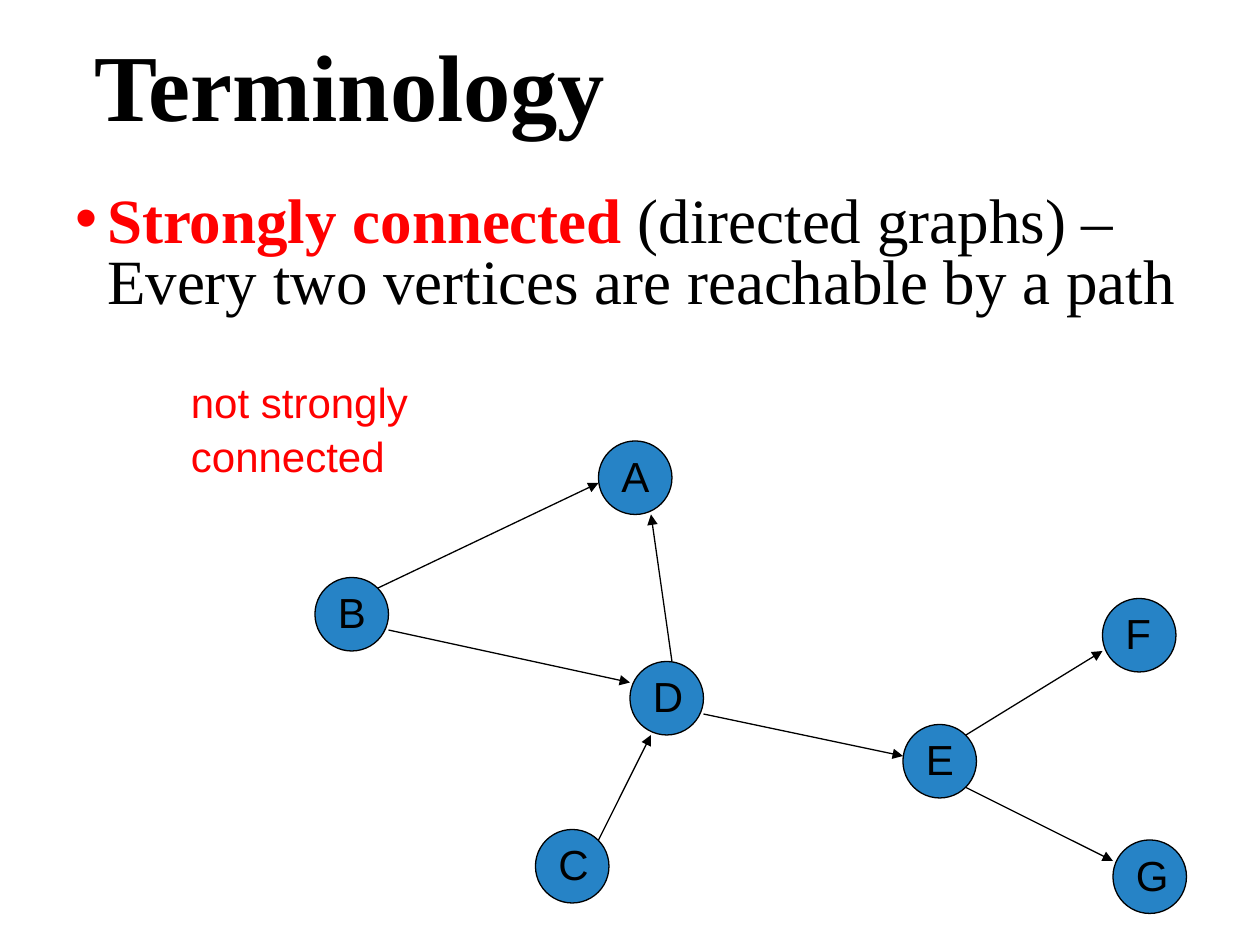
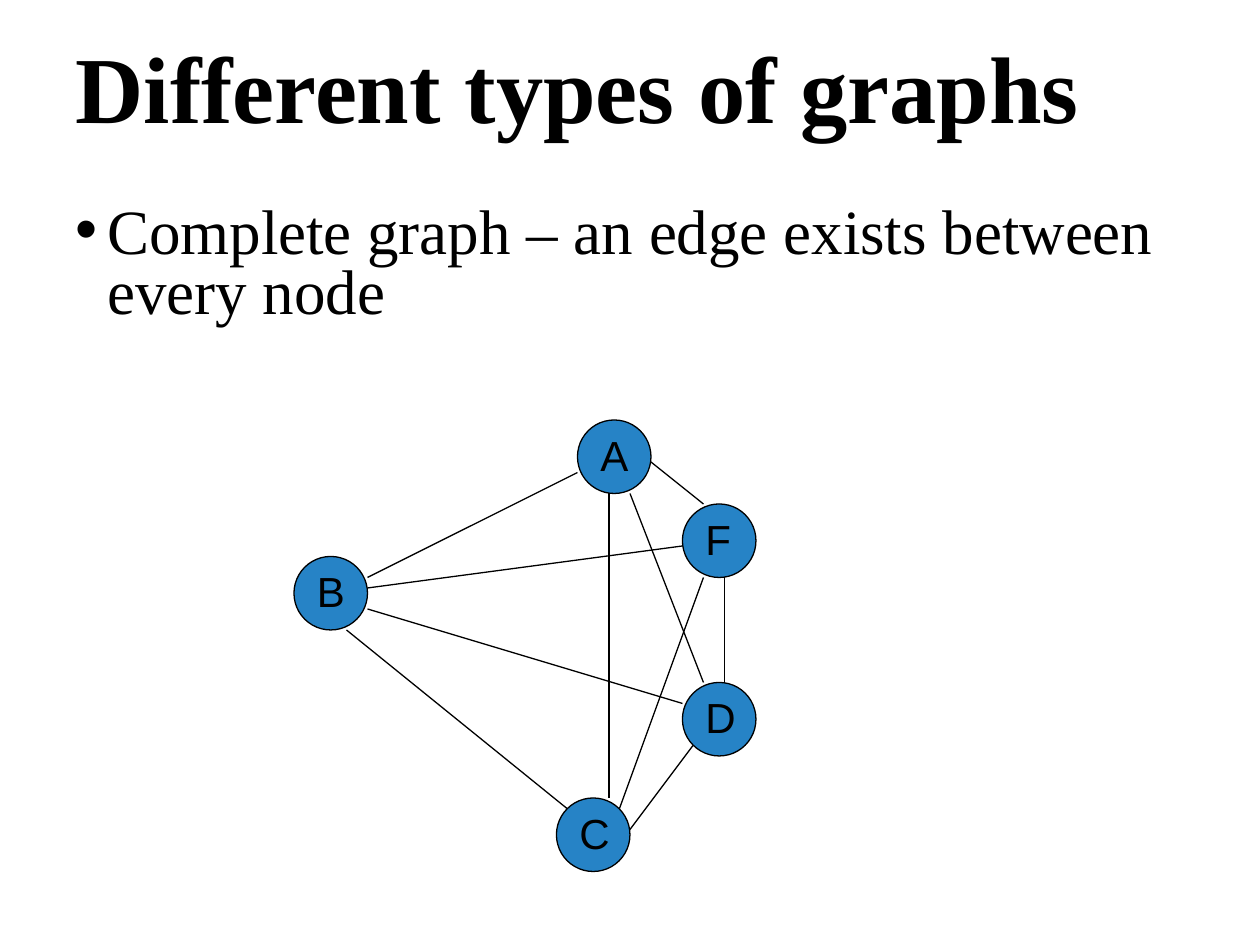
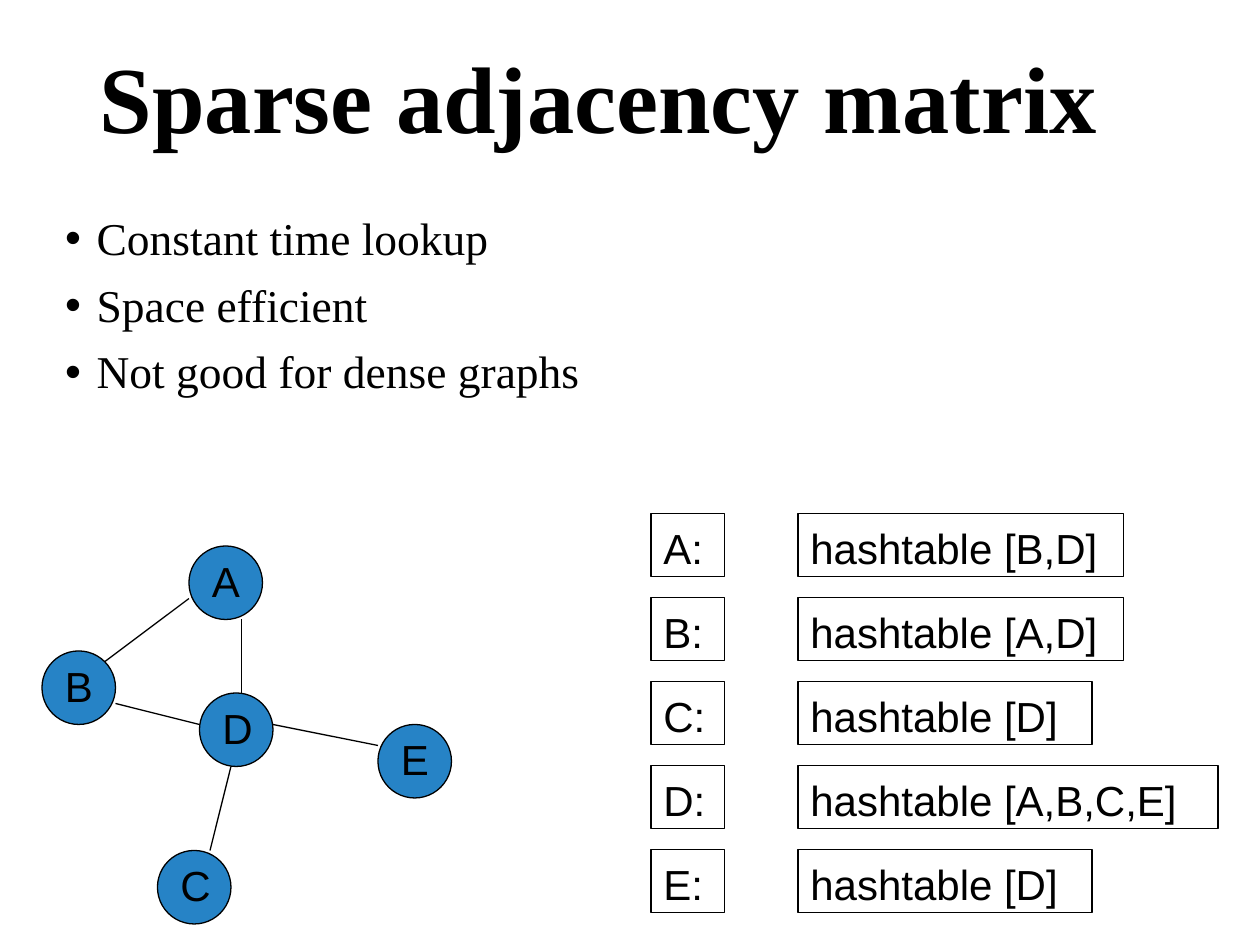
import dataclasses

import lxml.etree
import pptx
import pptx.dml.color
import pptx.enum.shapes
import pptx.enum.text
import pptx.oxml.ns
import pptx.util

PX = 914400 // 120
NODE_SIZE = 70
MSO_SHAPE = pptx.enum.shapes.MSO_SHAPE


@dataclasses.dataclass(frozen=True)
class Theme:
    ink: str = "000000"
    accent: str = "FF0000"
    node: str = "2683C6"
    serif: str = "Times New Roman"
    sans: str = "Arial"
    title_size: int = 54
    statement_size: int = 36
    list_size: int = 26
    label_size: int = 24
    line_width: float = 0.75
    label_spacing: float = 1.06


def emu(*lengths):
    return [pptx.util.Emu(length * PX) for length in lengths]


def rgb(color):
    return pptx.dml.color.RGBColor.from_string(color)


def write(paragraph, text, *, font, size, color, bold=False, spacing=1.0):
    """Append text to a left-aligned paragraph; newlines become line breaks."""
    paragraph.alignment = pptx.enum.text.PP_ALIGN.LEFT
    paragraph.line_spacing = spacing
    for index, line in enumerate(text.split("\n")):
        if index:
            paragraph.add_line_break()
        run = paragraph.add_run()
        run.text = line
        run.font.name = font
        run.font.size = pptx.util.Pt(size)
        run.font.bold = bold
        run.font.color.rgb = rgb(color)


class Deck:
    def __init__(self, theme):
        self.theme = theme
        self.presentation = pptx.Presentation()
        self.presentation.slide_width, self.presentation.slide_height = emu(1200, 900)
        self.slide = None

    def add_slide(self, title, box):
        layout = self.presentation.slide_layouts[1]
        self.slide = self.presentation.slides.add_slide(layout)
        frame = self.place(self.slide.shapes.title, box)
        frame.vertical_anchor = pptx.enum.text.MSO_ANCHOR.MIDDLE
        write(frame.paragraphs[0], title, font=self.theme.serif,
              size=self.theme.title_size, color=self.theme.ink, bold=True, spacing=0.9)

    def place(self, placeholder, box):
        """Move a placeholder and return its text frame, with shrinking off."""
        (placeholder.left, placeholder.top,
         placeholder.width, placeholder.height) = emu(*box)
        placeholder.text_frame.auto_size = pptx.enum.text.MSO_AUTO_SIZE.NONE
        return placeholder.text_frame

    def bullets(self, items, box, size, spacing):
        """Fill the body; each item is a list of (text, format overrides) runs."""
        frame = self.place(self.slide.placeholders[1], box)
        for index, runs in enumerate(items):
            paragraph = frame.add_paragraph() if index else frame.paragraphs[0]
            paragraph.space_before = pptx.util.Pt(10)
            indent = 30 * PX
            properties = paragraph._p.get_or_add_pPr()
            properties.set("marL", str(indent))
            properties.set("indent", str(-indent))
            for text, overrides in runs:
                style = {"font": self.theme.serif, "size": size,
                         "color": self.theme.ink, "spacing": spacing}
                write(paragraph, text, **(style | overrides))

    def label(self, text, box, color=None, shapes=None):
        shapes = self.slide.shapes if shapes is None else shapes
        self.write_label(shapes.add_textbox(*emu(*box)), text, color)

    def write_label(self, shape, text, color=None):
        frame = shape.text_frame
        frame.word_wrap = True
        frame.vertical_anchor = pptx.enum.text.MSO_ANCHOR.TOP
        write(frame.paragraphs[0], text, font=self.theme.sans,
              size=self.theme.label_size, color=color or self.theme.ink,
              spacing=self.theme.label_spacing)

    def outline(self, line):
        line.color.rgb = rgb(self.theme.ink)
        line.width = pptx.util.Pt(self.theme.line_width)

    def cell(self, text, box):
        frame_box = self.slide.shapes.add_shape(MSO_SHAPE.RECTANGLE, *emu(*box))
        frame_box.shadow.inherit = False
        frame_box.fill.background()
        self.outline(frame_box.line)
        self.write_label(frame_box, text)

    def node(self, name, left, top):
        group = self.slide.shapes.add_group_shape()
        circle = group.shapes.add_shape(
            MSO_SHAPE.OVAL, *emu(left, top, NODE_SIZE, NODE_SIZE))
        circle.shadow.inherit = False
        circle.fill.solid()
        circle.fill.fore_color.rgb = rgb(self.theme.node)
        self.outline(circle.line)
        self.label(name, (left + 10, top, 60, 61), shapes=group.shapes)

    def edge(self, ends, directed):
        edge = self.slide.shapes.add_connector(
            pptx.enum.shapes.MSO_CONNECTOR.STRAIGHT, *emu(*ends))
        self.outline(edge.line)
        qn = pptx.oxml.ns.qn
        if directed:
            lxml.etree.SubElement(edge.line._get_or_add_ln(), qn("a:tailEnd"),
                                  type="triangle")
        lxml.etree.SubElement(edge._element.spPr, qn("a:effectLst"))

    def graph(self, nodes, edges, directed=False):
        """Draw nodes {name: (left, top)} and edges (x1, y1, x2, y2)."""
        for name, corner in nodes.items():
            self.node(name, *corner)
        for ends in edges:
            self.edge(ends, directed)


def add_strongly_connected(deck):
    theme = deck.theme
    deck.add_slide("Terminology", (78, 0, 1034, 174))
    deck.bullets(
        [[("Strongly connected ", {"color": theme.accent, "bold": True}),
          ("(directed graphs) – \nEvery two vertices are reachable by a path", {})]],
        (60, 180, 1080, 140), theme.statement_size, 0.8)
    deck.graph(
        {"A": (570, 420), "B": (300, 550), "C": (510, 790), "E": (860, 690),
         "D": (600, 630), "F": (1050, 570), "G": (1060, 800)},
        [(360, 560, 570, 460), (370, 600, 600, 650), (640, 630, 620, 490),
         (570, 800, 620, 700), (670, 680, 860, 720), (920, 700, 1050, 620),
         (920, 750, 1060, 820)],
        directed=True)
    deck.label("not strongly connected", (170, 350, 280, 109), theme.accent)


def add_complete_graph(deck):
    deck.add_slide("Different types of graphs", (60, 16, 990, 144))
    deck.bullets([[("Complete graph – an edge exists between every node", {})]],
                 (60, 190, 1080, 130), deck.theme.statement_size, 0.8)
    deck.graph(
        {"A": (550, 400), "B": (280, 530), "C": (530, 760), "D": (650, 650),
         "F": (650, 480)},
        [(350, 550, 550, 450), (350, 580, 650, 670), (330, 600, 540, 770),
         (350, 560, 650, 520), (580, 470, 580, 760), (600, 470, 670, 650),
         (620, 440, 670, 480), (600, 790, 660, 710), (670, 550, 590, 770),
         (690, 550, 690, 650)])


def add_sparse_matrix(deck):
    deck.add_slide("Sparse adjacency matrix", (83, 11, 1034, 174))
    benefits = ["Constant time lookup", "Space efficient", "Not good for dense graphs"]
    deck.bullets([[(benefit, {})] for benefit in benefits],
                 (50, 200, 1090, 210), deck.theme.list_size, 0.9)
    deck.graph(
        {"A": (180, 520), "B": (40, 620), "C": (150, 810), "E": (360, 690),
         "D": (190, 660)},
        [(100, 630, 180, 570), (110, 670, 190, 690), (230, 660, 230, 590),
         (220, 730, 200, 810), (260, 690, 360, 710)])
    neighbours = [("A", "B,D", 310), ("B", "A,D", 310), ("C", "D", 280),
                  ("D", "A,B,C,E", 400), ("E", "D", 280)]
    for row, (vertex, adjacent, width) in enumerate(neighbours):
        top = 489 + 80 * row
        deck.cell(f"{vertex}:", (620, top, 70, 60))
        deck.cell(f"hashtable [{adjacent}]", (760, top, width, 60))


def main():
    deck = Deck(Theme())
    add_strongly_connected(deck)
    add_complete_graph(deck)
    add_sparse_matrix(deck)
    deck.presentation.save("out.pptx")


if __name__ == "__main__":
    main()
